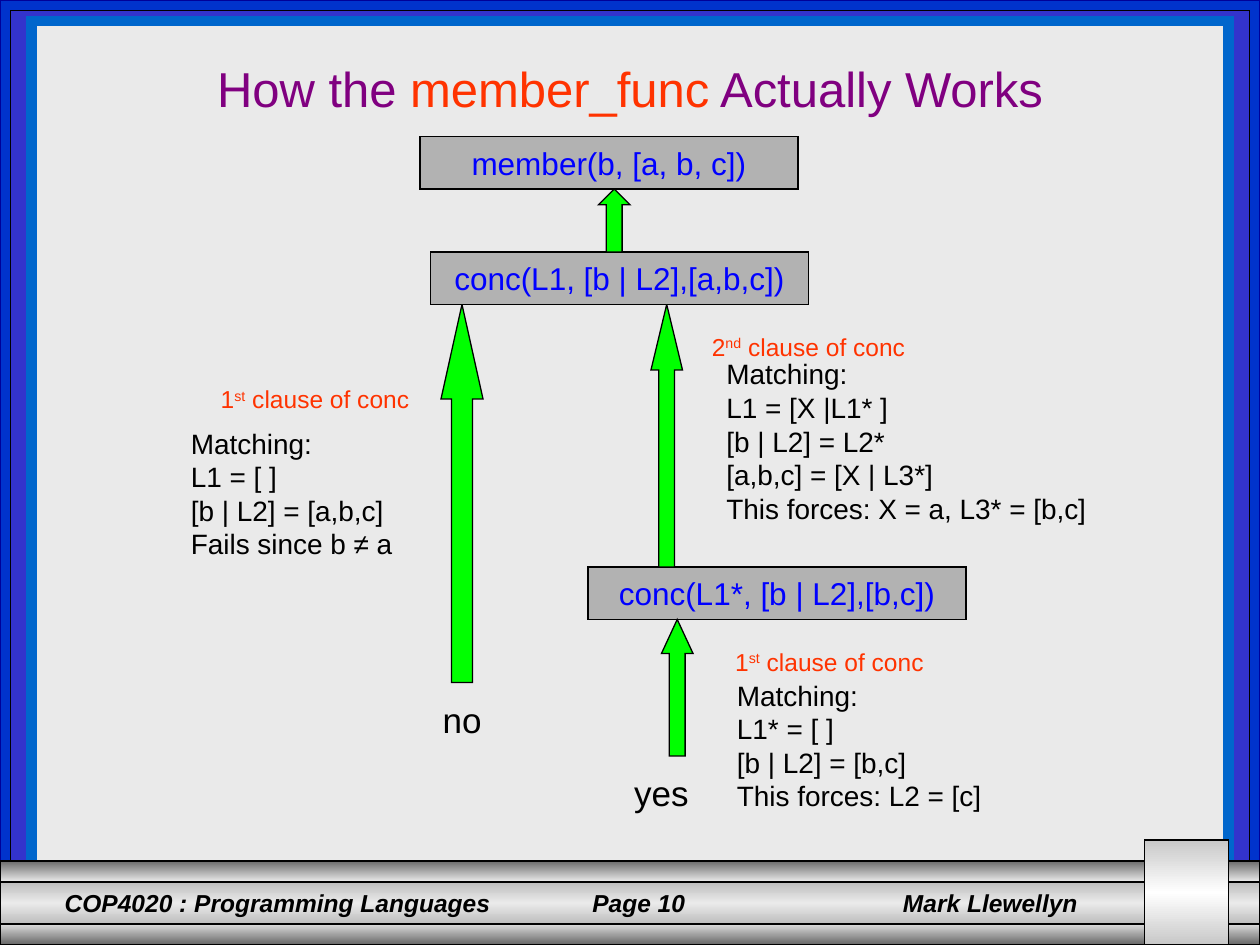
from copy import deepcopy

from pptx import Presentation
from pptx.dml.color import RGBColor
from pptx.enum.shapes import MSO_SHAPE
from pptx.enum.text import MSO_ANCHOR, PP_ALIGN
from pptx.oxml import parse_xml
from pptx.oxml.ns import nsdecls
from pptx.util import Pt

RECT, UP_ARROW = MSO_SHAPE.RECTANGLE, MSO_SHAPE.UP_ARROW
LEFT, CENTER = PP_ALIGN.LEFT, PP_ALIGN.CENTER
TOP, MIDDLE = MSO_ANCHOR.TOP, MSO_ANCHOR.MIDDLE

BLACK = RGBColor(0x00, 0x00, 0x00)
WHITE = RGBColor(0xFF, 0xFF, 0xFF)
NAVY = RGBColor(0x00, 0x00, 0x99)
ROYAL = RGBColor(0x00, 0x33, 0xCC)
INDIGO = RGBColor(0x33, 0x33, 0xCC)
AZURE = RGBColor(0x00, 0x66, 0xCC)
BLUE = RGBColor(0x00, 0x00, 0xFF)
PURPLE = RGBColor(0x80, 0x00, 0x80)
ORANGE = RGBColor(0xFF, 0x33, 0x00)
GREEN = RGBColor(0x00, 0xFF, 0x00)
GOAL_GRAY = RGBColor(0xB2, 0xB2, 0xB2)
PAPER = RGBColor(0xEA, 0xEA, 0xEA)
CHARCOAL = RGBColor(0x65, 0x65, 0x65)
DARK_GRAY = RGBColor(0x6B, 0x6B, 0x6B)
SILVER = RGBColor(0xBD, 0xBD, 0xBD)
CORNER_GRAY = RGBColor(0xC8, 0xC8, 0xC8)
LIGHT_GRAY = RGBColor(0xDD, 0xDD, 0xDD)

prs = Presentation()
prs.slide_width, prs.slide_height = Pt(720), Pt(540)
slide = prs.slides.add_slide(prs.slide_layouts[6])


def draw(kind, box, colors, line=BLACK, width=0.75):
    """Add a sharp-cornered shape; several colours make a downward gradient."""
    shape = slide.shapes.add_shape(kind, *map(Pt, box))
    shape.shadow.inherit = False
    shape.line.color.rgb = line
    shape.line.width = Pt(width)
    outline = shape._element.xpath("./p:spPr/a:ln")[0]
    outline.append(parse_xml(f'<a:miter {nsdecls("a")} lim="800000"/>'))
    if len(colors) == 1:
        shape.fill.solid()
        shape.fill.fore_color.rgb = colors[0]
        return shape
    shape.fill.gradient()
    shape.fill.gradient_angle = 270
    stop_list = shape._element.xpath(".//a:gsLst")[0]
    for _ in colors[2:]:
        stop_list.append(deepcopy(stop_list[0]))
    for i, (stop, color) in enumerate(zip(shape.fill.gradient_stops, colors)):
        stop.position = i / (len(colors) - 1)
        stop.color.rgb = color
    return shape


def write(shape, lines, size, align=CENTER, anchor=MIDDLE, wrap=False, **style):
    """Fill a shape with lines, each a list of (text, colour, baseline) runs."""
    frame = shape.text_frame
    frame.word_wrap = wrap
    frame.vertical_anchor = anchor
    for i, runs in enumerate(lines):
        paragraph = frame.add_paragraph() if i else frame.paragraphs[0]
        paragraph.alignment = align
        for text, color, baseline in runs:
            run = paragraph.add_run()
            run.text = text
            run.font.color.rgb = color
            for name, value in {"name": "Arial", "size": Pt(size), **style}.items():
                setattr(run.font, name, value)
            if baseline:
                run.font._element.set("baseline", str(baseline))
    return frame


# Frame around the page
draw(RECT, (0, 0, 720, 504), [ROYAL], NAVY)
draw(RECT, (0, 528, 720, 12), [LIGHT_GRAY, CHARCOAL])
draw(RECT, (6, 6, 708, 498), [INDIGO], width=0.5)
draw(RECT, (18, 12, 684, 492), [PAPER], AZURE, 6)

# Footer bands, text on tab stops, and corner block
draw(RECT, (0, 492, 720, 12), [DARK_GRAY, PAPER])
draw(RECT, (0, 504, 720, 24), [SILVER, PAPER, SILVER])
footer = slide.shapes.add_textbox(*map(Pt, (0, 504, 654, 24)))
footer_text = "COP4020 : Programming Languages\tPage 10\tMark Llewellyn"
footer_frame = write(footer, [[(footer_text, BLACK, 0)]], 14, LEFT, TOP, True,
                     bold=True, italic=True)
footer_frame.margin_left = Pt(37)
tab_stops = "".join(f'<a:tab pos="{Pt(pos)}" algn="l"/>' for pos in (301.5, 479))
footer_frame.paragraphs[0]._p.get_or_add_pPr().append(
    parse_xml(f'<a:tabLst {nsdecls("a")}>{tab_stops}</a:tabLst>'))
draw(RECT, (654, 480, 48, 60), [CORNER_GRAY, WHITE, CORNER_GRAY])

# Title
title = slide.shapes.add_textbox(*map(Pt, (54, 30, 612, 54)))
write(title, [[("How the ", PURPLE, 0), ("member_func", ORANGE, 0),
               (" Actually Works", PURPLE, 0)]], 28, anchor=TOP, wrap=True)

# Goals
for left, top, goal in [
    (240, 78, "member(b, [a, b, c])"),
    (246, 144, "conc(L1, [b | L2],[a,b,c])"),
    (336, 324, "conc(L1*, [b | L2],[b,c])"),
]:
    goal_box = draw(RECT, (left, top, 216, 30), [GOAL_GRAY])
    write(goal_box, [[(goal, BLUE, 0)]], 18)

# Arrows from each subgoal up to its goal
for box, head_length in [
    ((252, 174, 24, 216), 2.25),
    ((378, 354, 18, 78), 1.08),
    ((372, 174, 18, 150), 2.08),
    ((342, 108, 18, 36), 0.5),
]:
    arrow = draw(UP_ARROW, box, [GREEN])
    arrow.adjustments[0] = 0.5
    arrow.adjustments[1] = head_length

# Clause labels
for left, top, number, suffix in [
    (114, 216, "1", "st"),
    (396, 186, "2", "nd"),
    (408, 366, "1", "st"),
]:
    clause = slide.shapes.add_textbox(*map(Pt, (left, top, 132, 24)))
    write(clause, [[(number, ORANGE, 0), (suffix, ORANGE, 30000),
                    (" clause of conc", ORANGE, 0)]], 14)

# Matching steps, each box wide enough for its longest line
for left, top, width, steps in [
    (102, 228, 144, ["L1 = [ ]", "[b | L2] = [a,b,c]", "Fails since b ≠ a"]),
    (414, 372, 168, ["L1* = [ ]", "[b | L2] = [b,c]", "This forces: L2 = [c]"]),
    (408, 198, 234, ["L1 = [X |L1* ]", "[b | L2] = L2*", "[a,b,c] = [X | L3*]",
                     "This forces: X = a, L3* = [b,c]"]),
]:
    matching = slide.shapes.add_textbox(*map(Pt, (left, top, width, 108)))
    write(matching, [[(step, BLACK, 0)] for step in ["Matching:"] + steps],
          16, LEFT, wrap=True)

# Outcomes
for left, top, outcome in [(240, 402, "no"), (354, 444, "yes")]:
    outcome_box = slide.shapes.add_textbox(*map(Pt, (left, top, 48, 18)))
    write(outcome_box, [[(outcome, BLACK, 0)]], 20)

prs.save("out.pptx")
